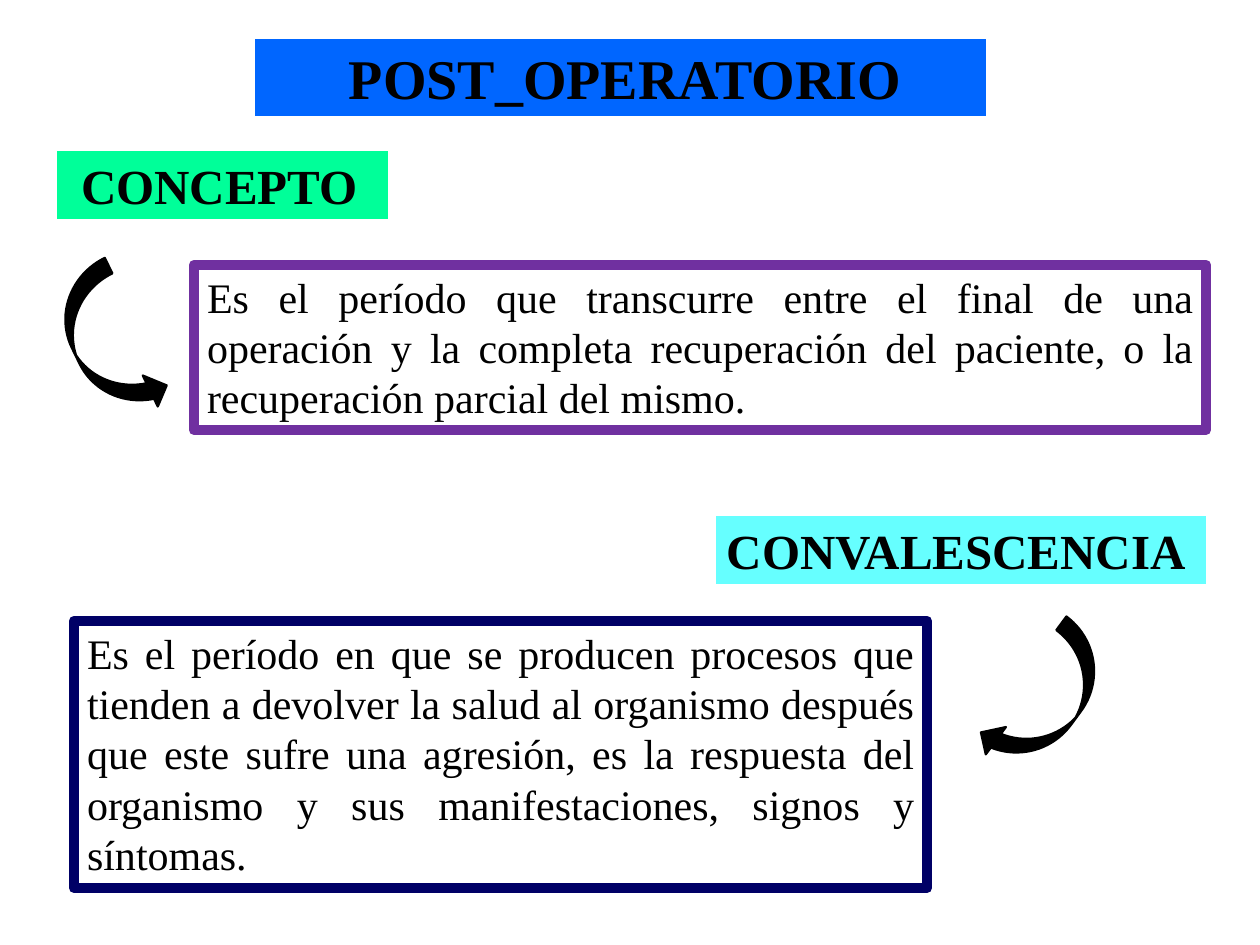
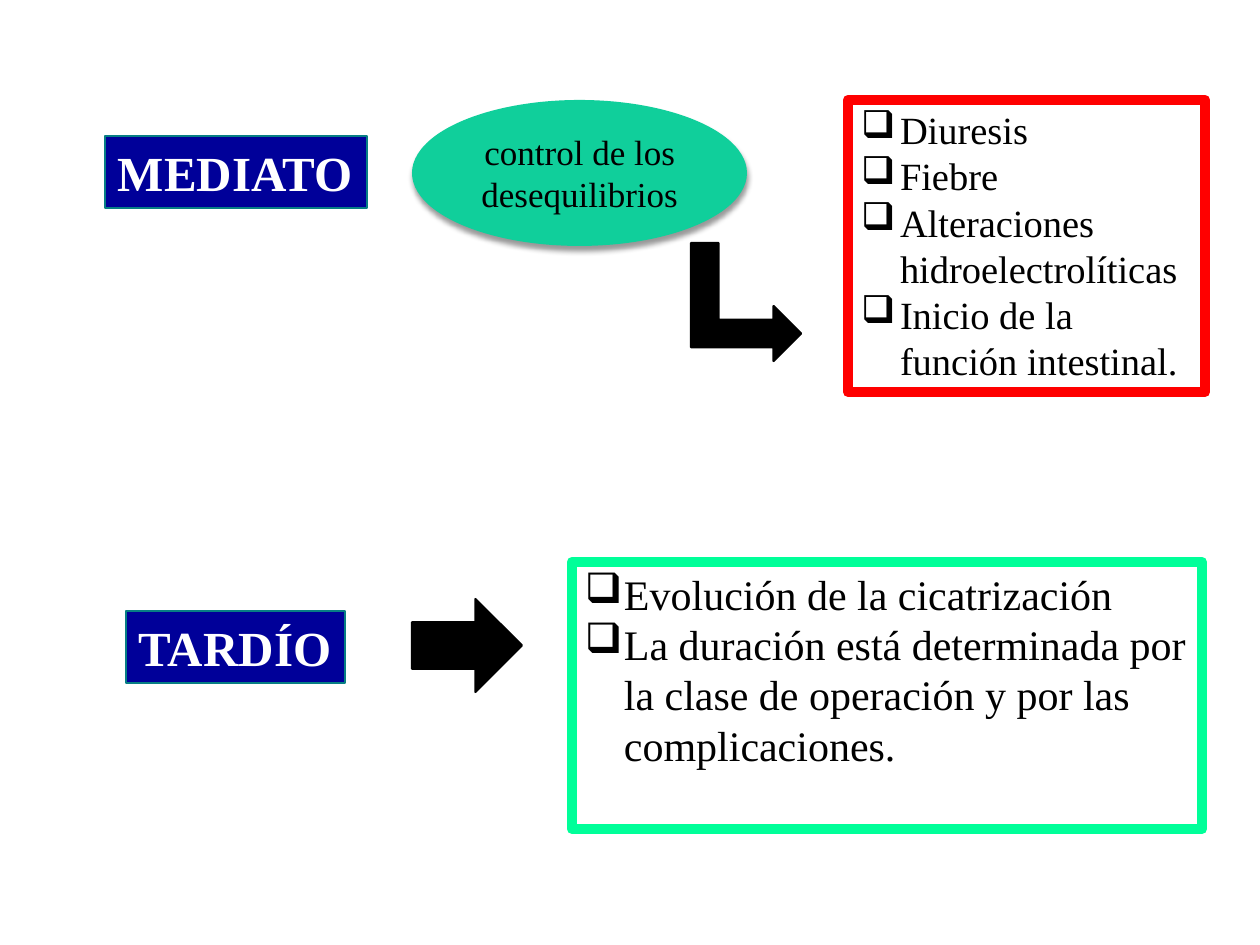
from lxml import etree
from pptx import Presentation
from pptx.dml.color import RGBColor
from pptx.enum.shapes import MSO_SHAPE
from pptx.enum.text import MSO_ANCHOR, PP_ALIGN
from pptx.oxml.ns import qn
from pptx.util import Emu, Pt

EMU_PER_PX = 914400 / 126
FONT = "Times New Roman"
BLACK, WHITE = "000000", "FFFFFF"
NAVY, TEAL, MINT = "000099", "077E84", "00FF99"
RECT, OVAL = MSO_SHAPE.RECTANGLE, MSO_SHAPE.OVAL
CURVED_RIGHT, CURVED_LEFT = MSO_SHAPE.CURVED_RIGHT_ARROW, MSO_SHAPE.CURVED_LEFT_ARROW
BENT_UP, RIGHT = MSO_SHAPE.BENT_UP_ARROW, MSO_SHAPE.RIGHT_ARROW
LEFT, CENTER, JUSTIFY = PP_ALIGN.LEFT, PP_ALIGN.CENTER, PP_ALIGN.JUSTIFY
TOP, MIDDLE = MSO_ANCHOR.TOP, MSO_ANCHOR.MIDDLE

PAGE_SIZE = (1260, 945)
INSET = 13
BULLET, BULLET_INDENT = "❑", 39

HEADING = dict(size=28, bold=True, outline=WHITE, outline_width=2)
STAGE = dict(size=28, bold=True, color=WHITE, fill=NAVY, outline=TEAL,
             outline_width=1.25, wrap=False)
FRAME = dict(size=24, outline_width=6)

PAGES = [
    dict(
        texts=[
            (["POST_OPERATORIO"], (253, 37, 735, 81),
             dict(HEADING, size=32, fill="0066FF", inset_left=96)),
            (["Es el período que transcurre entre el final de una operación y la "
              "completa recuperación del paciente, o la recuperación parcial del mismo."],
             (194, 265, 1012, 165), dict(FRAME, outline="7030A0", align=JUSTIFY)),
            (["CONCEPTO"], (55, 149, 335, 72),
             dict(HEADING, fill=MINT, inset_left=26)),
            (["Es el período en que se producen procesos que tienden a devolver la "
              "salud al organismo después que este sufre una agresión, es la respuesta "
              "del organismo y sus manifestaciones, signos y síntomas."],
             (74, 621, 853, 267), dict(FRAME, outline="000066", align=JUSTIFY)),
            (["CONVALESCENCIA"], (714, 514, 494, 72), dict(HEADING, fill="66FFFF")),
        ],
        arrows=[
            (CURVED_RIGHT, (74, 265, 69, 159), 334.1),
            (CURVED_LEFT, (1012, 621, 68, 161), 36.4),
        ],
    ),
    dict(
        texts=[
            (["MEDIATO"], (105, 136, 262, 72), STAGE),
            (["Diuresis", "Fiebre", "Alteraciones hidroelectrolíticas",
              "Inicio de la función intestinal."],
             (848, 100, 357, 292), dict(FRAME, size=22, outline="FF0000", bulleted=True)),
            (["Evolución de la cicatrización",
              "La duración está determinada por la clase de operación y por las "
              "complicaciones."],
             (572, 562, 630, 267), dict(FRAME, outline=MINT, bulleted=True)),
            (["control de los desequilibrios"], (412, 100, 335, 146),
             dict(kind=OVAL, size=20, fill="10CF9B", align=CENTER, anchor=MIDDLE,
                  shadow=True)),
            (["TARDÍO"], (126, 611, 219, 72), STAGE),
        ],
        arrows=[
            (BENT_UP, (687, 247, 118, 110), 90),
            (RIGHT, (412, 599, 110, 93), 0),
        ],
    ),
]


def px(length):
    return Emu(round(length * EMU_PER_PX))


def rgb(code):
    return RGBColor.from_string(code)


def add_shadow(shape):
    effects = shape._element.spPr.find(qn("a:effectLst"))
    outer = etree.SubElement(effects, qn("a:outerShdw"), blurRad=str(Pt(3)),
                             dist=str(Pt(3)), dir=str(80 * 60000), rotWithShape="0")
    tint = etree.SubElement(outer, qn("a:srgbClr"), val=BLACK)
    etree.SubElement(tint, qn("a:alpha"), val="40000")


def add_bullet(para):
    properties = para._p.get_or_add_pPr()
    properties.set("marL", str(px(BULLET_INDENT)))
    properties.set("indent", str(-px(BULLET_INDENT)))
    etree.SubElement(properties, qn("a:buChar"), char=BULLET)


def add_block(page, kind, place, fill, outline=None, outline_width=1.25):
    shape = page.shapes.add_shape(kind, *map(px, place))
    shape.shadow.inherit = False
    shape.fill.solid()
    shape.fill.fore_color.rgb = rgb(fill)
    if outline:
        shape.line.color.rgb = rgb(outline)
        shape.line.width = Pt(outline_width)
    else:
        shape.line.fill.background()
    return shape


def add_text(page, lines, place, kind=RECT, size=24, bold=False, color=BLACK,
             fill=WHITE, outline=None, outline_width=1.25, align=LEFT, anchor=TOP,
             inset_left=INSET, wrap=True, bulleted=False, shadow=False):
    shape = add_block(page, kind, place, fill, outline, outline_width)
    if shadow:
        add_shadow(shape)
    frame = shape.text_frame
    frame.word_wrap = wrap
    frame.vertical_anchor = anchor
    frame.margin_left = px(inset_left)
    for index, line in enumerate(lines):
        para = frame.add_paragraph() if index else frame.paragraphs[0]
        para.alignment = align
        if bulleted:
            add_bullet(para)
        span = para.add_run()
        span.text = line
        span.font.name = FONT
        span.font.size = Pt(size)
        span.font.bold = bold
        span.font.color.rgb = rgb(color)


def add_arrow(page, kind, place, rotation):
    add_block(page, kind, place, BLACK, BLACK).rotation = rotation


def main():
    deck = Presentation()
    deck.slide_width, deck.slide_height = map(px, PAGE_SIZE)
    for content in PAGES:
        page = deck.slides.add_slide(deck.slide_layouts[6])
        for lines, place, style in content["texts"]:
            add_text(page, lines, place, **style)
        for arrow in content["arrows"]:
            add_arrow(page, *arrow)
    deck.save("out.pptx")


if __name__ == "__main__":
    main()
